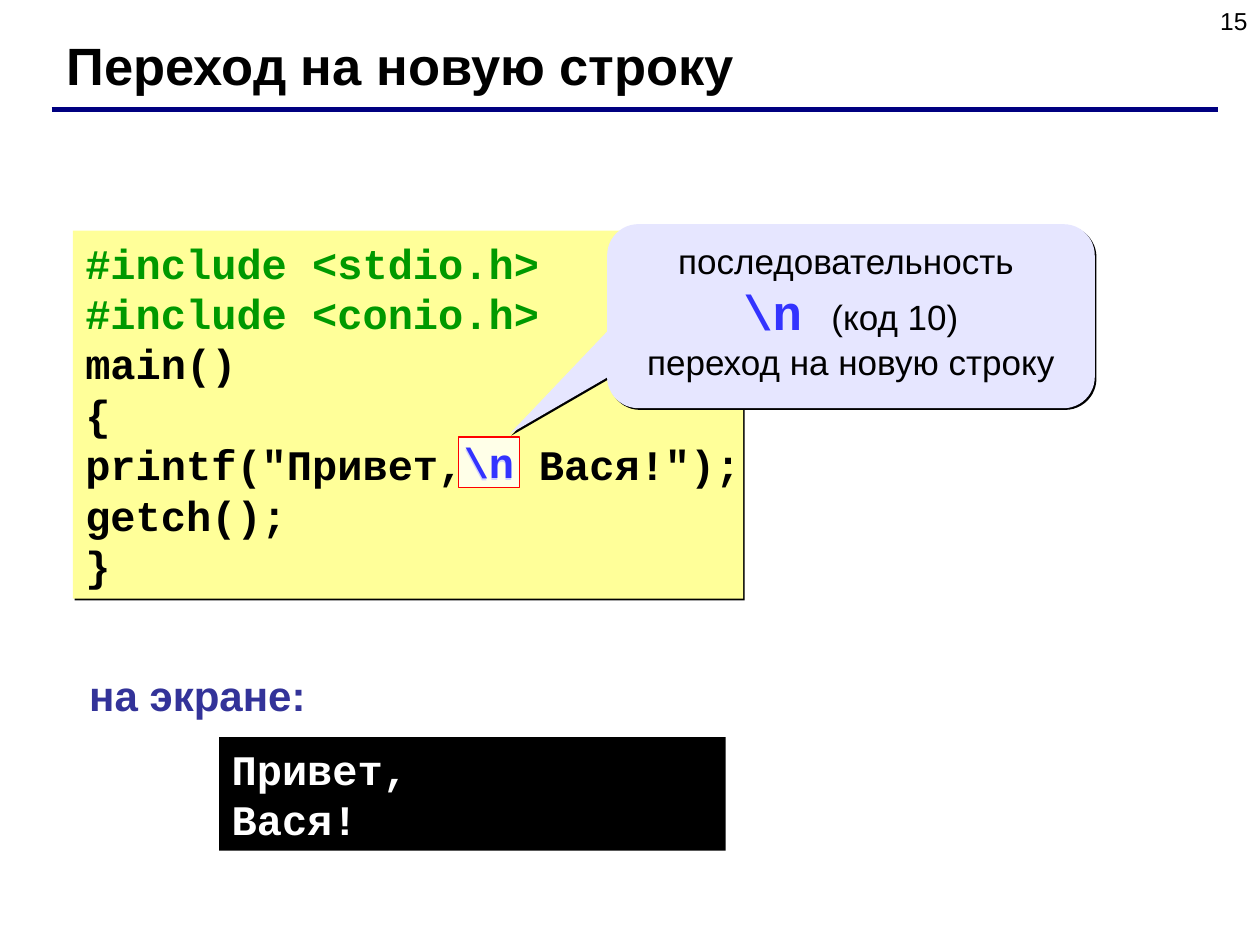
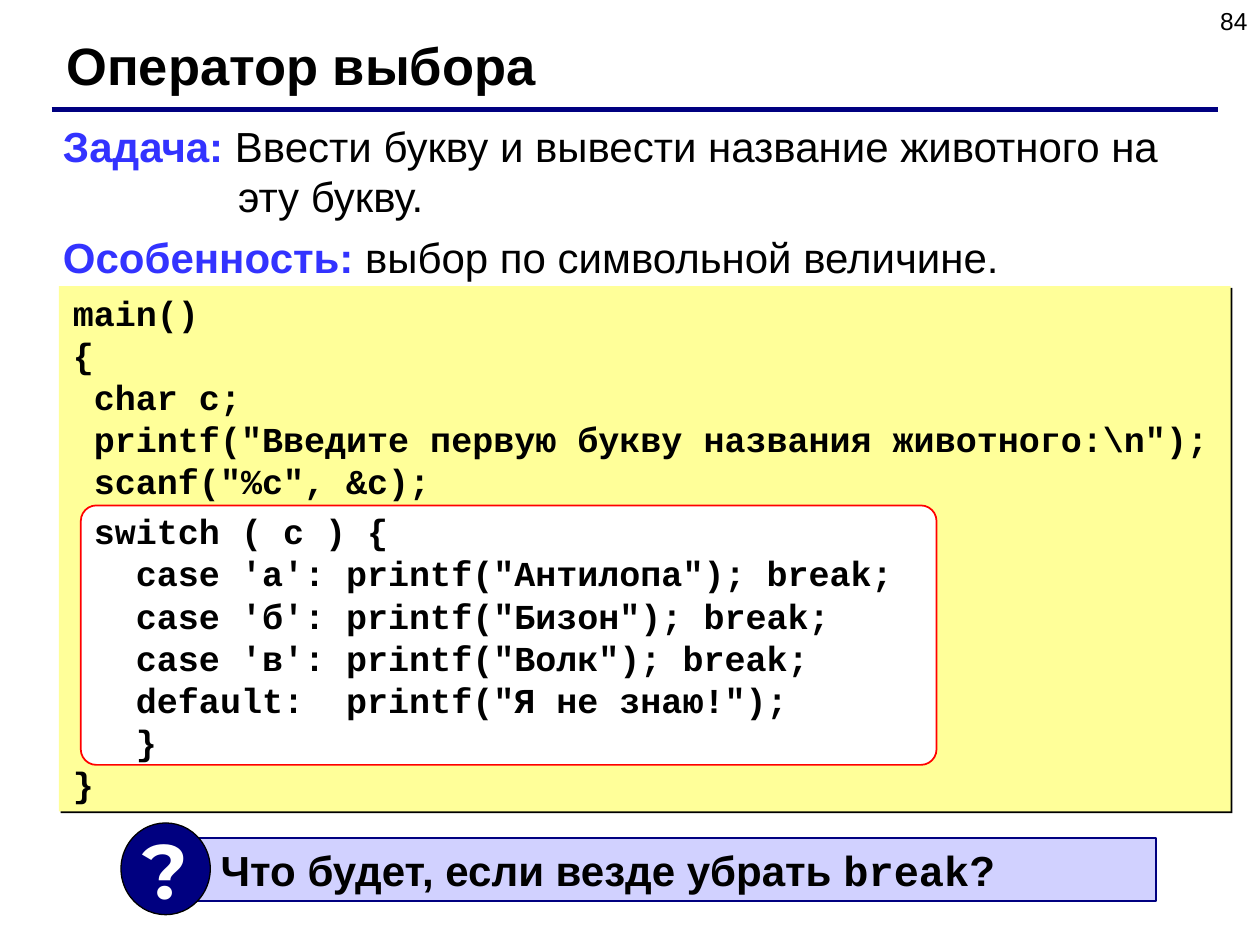
from dataclasses import dataclass

from lxml.etree import SubElement
from pptx import Presentation
from pptx.dml.color import RGBColor
from pptx.enum.shapes import MSO_CONNECTOR, MSO_SHAPE
from pptx.enum.text import MSO_ANCHOR, MSO_AUTO_SIZE, PP_ALIGN
from pptx.oxml.ns import qn
from pptx.util import Cm, Pt


@dataclass(frozen=True)
class Theme:
    sans: str = "Arial"
    mono: str = "Courier New"
    badge_font: str = "Montserrat"
    black: str = "000000"
    white: str = "FFFFFF"
    navy: str = "000080"
    label: str = "333399"
    accent: str = "3333FF"
    directive: str = "009900"
    red: str = "FF0000"
    code_fill: str = "FFFF99"
    callout_fill: str = "E6E6FF"
    question_fill: str = "D1D1FF"
    number_size: int = 14
    small: int = 20
    body: int = 24
    escape_size: int = 28
    title_size: int = 30
    badge_size: int = 44


THEME = Theme()
CODE = dict(font=THEME.mono, bold=True)
DIRECTIVE = dict(color=THEME.directive)
ACCENT = dict(color=THEME.accent, bold=True)
ESCAPE = dict(ACCENT, font=THEME.mono, size=THEME.escape_size)

# A paragraph is a string or a list of runs; a run is a string or (string, format).
NEW_LINE = dict(
    number="15",
    title="Переход на новую строку",
    code=[
        [("#include <stdio.h>", DIRECTIVE)],
        [("#include <conio.h>", DIRECTIVE)],
        "main()",
        "{",
        ['printf("Привет,', ("\\n ", ACCENT), 'Вася!");'],
        "getch();",
        "}",
    ],
    callout=[
        "последовательность ",
        [("\\n ", ESCAPE), "(код 10)"],
        "переход на новую строку",
    ],
    escape="\\n",
    label="на экране:",
    screen=["Привет,", "Вася!"],
)
SELECTION = dict(
    number="84",
    title="Оператор выбора",
    task=[
        [("Задача: ", ACCENT), "Ввести букву и вывести название животного на эту букву."],
        [("Особенность: ", ACCENT), "выбор по символьной величине."],
    ],
    code=[
        "main()",
        "{",
        " char c;",
        ' printf("Введите первую букву названия животного:\\n");',
        ' scanf("%c", &c);',
        " switch ( c ) {",
        "   case 'а': printf(\"Антилопа\"); break;",
        "   case 'б': printf(\"Бизон\"); break;",
        "   case 'в': printf(\"Волк\"); break;",
        '   default:  printf("Я не знаю!");',
        "   }",
        "}",
    ],
    question=[["Что будет, если везде убрать ", ("break", dict(font=THEME.mono)), "?"]],
    badge="?",
)


def write(shape, paragraphs, *, size=THEME.body, font=THEME.sans, color=THEME.black,
          bold=False, align=PP_ALIGN.LEFT, anchor=MSO_ANCHOR.TOP, wrap=True,
          margins=(0.25, 0.13), before=None, hanging=None):
    """Fill a shape; before (points) and hanging (cm) map paragraph indexes to values."""
    frame = shape.text_frame
    frame.auto_size = MSO_AUTO_SIZE.NONE
    frame.word_wrap = wrap
    frame.vertical_anchor = anchor
    frame.margin_left = frame.margin_right = Cm(margins[0])
    frame.margin_top = frame.margin_bottom = Cm(margins[1])
    if isinstance(paragraphs, str):
        paragraphs = [paragraphs]
    for index, runs in enumerate(paragraphs):
        paragraph = frame.add_paragraph() if index else frame.paragraphs[0]
        paragraph.alignment = align
        paragraph.space_before = Pt((before or {}).get(index, 0))
        if hanging and index in hanging:
            properties = paragraph._p.get_or_add_pPr()
            properties.set("marL", str(Cm(hanging[index])))
            properties.set("indent", str(-Cm(hanging[index])))
        for item in [runs] if isinstance(runs, str) else runs:
            text, changes = (item, {}) if isinstance(item, str) else item
            style = dict(size=size, font=font, color=color, bold=bold) | changes
            run = paragraph.add_run()
            run.text = text
            run.font.name = style["font"]
            run.font.size = Pt(style["size"])
            run.font.bold = style["bold"]
            run.font.color.rgb = RGBColor.from_string(style["color"])


def add_text(slide, box, paragraphs, **text_format):
    shape = slide.shapes.add_textbox(*map(Cm, box))
    write(shape, paragraphs, **text_format)


def add_panel(slide, box, fill, kind=MSO_SHAPE.RECTANGLE, line=None, line_width=1,
              shadow=False, opacity=None, adjustments=()):
    shape = slide.shapes.add_shape(kind, *map(Cm, box))
    for index, value in enumerate(adjustments):
        shape.adjustments[index] = value
    shape.fill.solid()
    shape.fill.fore_color.rgb = RGBColor.from_string(fill)
    if opacity:
        fill_color = shape._element.spPr.find(qn("a:solidFill"))[0]
        SubElement(fill_color, qn("a:alpha"), val=str(opacity * 1000))
    if line:
        shape.line.color.rgb = RGBColor.from_string(line)
        shape.line.width = Pt(line_width)
    else:
        shape.line.fill.background()
    shape.shadow.inherit = False
    if shadow:
        effects = shape._element.spPr.find(qn("a:effectLst"))
        outer = SubElement(effects, qn("a:outerShdw"), dist=str(Pt(1.4)),
                           dir=str(45 * 60000), algn="ctr", rotWithShape="0")
        SubElement(outer, qn("a:srgbClr"), val=THEME.black)
    return shape


def start_slide(presentation, content):
    """Add a slide with its title, the rule below it and the page number."""
    slide = presentation.slides.add_slide(presentation.slide_layouts[5])
    title = slide.shapes.title
    title.left, title.top, title.width, title.height = map(Cm, (1.09, 0.53, 22.61, 1.52))
    write(title, content["title"], size=THEME.title_size, bold=True)
    add_text(slide, (19.48, 0, 5.92, 1.32), content["number"],
             size=THEME.number_size, align=PP_ALIGN.RIGHT)
    rule = slide.shapes.add_connector(MSO_CONNECTOR.STRAIGHT,
                                      Cm(1.04), Cm(2.21), Cm(24.56), Cm(2.21))
    rule.line.color.rgb = RGBColor.from_string(THEME.navy)
    rule.line.width = Pt(3)
    SubElement(rule._element.spPr, qn("a:effectLst"))
    return slide


def build_new_line(presentation, content):
    slide = start_slide(presentation, content)
    code = add_panel(slide, (1.47, 4.65, 13.51, 7.42), THEME.code_fill, shadow=True)
    write(code, content["code"], wrap=False, **CODE)

    screen = add_panel(slide, (4.42, 14.86, 10.21, 2.29), THEME.black)
    write(screen, content["screen"], color=THEME.white, **CODE)
    add_text(slide, (1.55, 13.36, 4.85, 1.27), content["label"],
             color=THEME.label, bold=True, wrap=False)

    callout = add_panel(slide, (12.24, 4.52, 9.83, 3.71), THEME.callout_fill,
                        MSO_SHAPE.ROUNDED_RECTANGULAR_CALLOUT, shadow=True,
                        adjustments=(-0.7, 0.64, 0.17))
    write(callout, content["callout"], size=THEME.small, align=PP_ALIGN.CENTER)

    escape = add_panel(slide, (9.25, 8.81, 1.22, 1.02), THEME.white,
                       line=THEME.red, line_width=0.75, opacity=78)
    write(escape, content["escape"], color=THEME.accent, wrap=False,
          margins=(0.1, 0), **CODE)


def build_selection(presentation, content):
    slide = start_slide(presentation, content)
    add_text(slide, (1.02, 2.29, 23.39, 3.53), content["task"],
             before={1: 6}, hanging={0: 3.53})

    add_panel(slide, (1.19, 5.77, 23.62, 10.59), THEME.code_fill, shadow=True)
    add_panel(slide, (1.63, 10.19, 17.25, 5.23), THEME.white,
              MSO_SHAPE.ROUNDED_RECTANGLE, line=THEME.red, adjustments=(0.06,))
    switch_line = content["code"].index(" switch ( c ) {")
    add_text(slide, (1.22, 5.74, 23.62, 10.59), content["code"],
             size=THEME.small, before={switch_line: 5}, **CODE)

    question = add_panel(slide, (3.73, 16.89, 19.58, 1.27), THEME.question_fill,
                         line=THEME.navy)
    write(question, content["question"], bold=True, margins=(0.72, 0.13))
    badge = add_panel(slide, (2.44, 16.59, 1.8, 1.85), THEME.navy, MSO_SHAPE.OVAL,
                      line=THEME.black, line_width=0.75)
    write(badge, content["badge"], size=THEME.badge_size, font=THEME.badge_font,
          color=THEME.white, bold=True, align=PP_ALIGN.CENTER,
          anchor=MSO_ANCHOR.MIDDLE, wrap=False)


def main():
    presentation = Presentation()
    presentation.slide_width = Cm(25.4)
    presentation.slide_height = Cm(19.05)
    build_new_line(presentation, NEW_LINE)
    build_selection(presentation, SELECTION)
    presentation.save("out.pptx")


if __name__ == "__main__":
    main()
